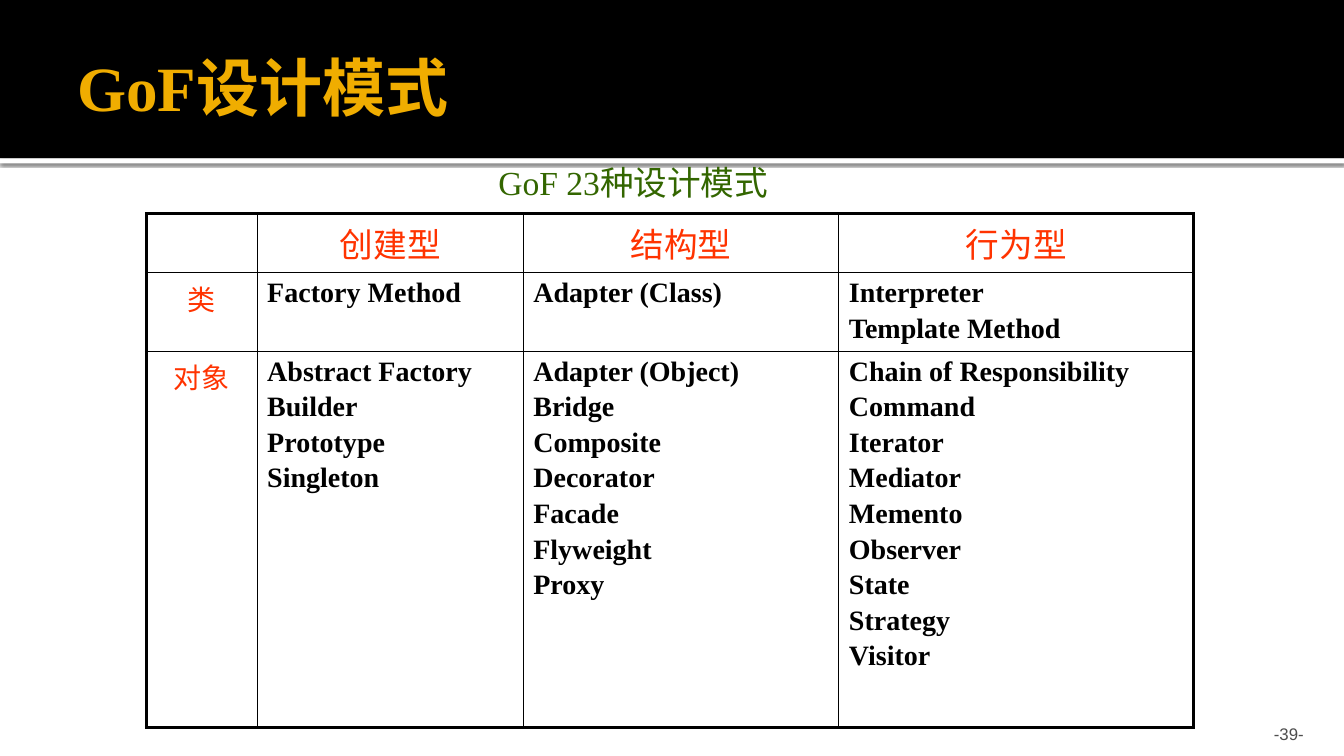
import pptx
import pptx.dml.color
import pptx.enum.shapes
import pptx.enum.text
import pptx.oxml
import pptx.oxml.ns
import pptx.util
from pptx.util import Inches

COLORS = {
    "black": "000000",
    "white": "FFFFFF",
    "gold": "F0AD00",
    "green": "336600",
    "red": "FF3300",
    "grey": "4D4D4D",
}
SERIF = "Times New Roman"
ALIGN = pptx.enum.text.PP_ALIGN
ANCHOR = pptx.enum.text.MSO_ANCHOR
NAMESPACE = pptx.oxml.ns.nsdecls("a")
THICK, THIN = 2.25, 1

CATEGORIES = ["创建型", "结构型", "行为型"]
PATTERNS = {
    "类": [
        ["Factory Method"],
        ["Adapter (Class)"],
        ["Interpreter", "Template Method"],
    ],
    "对象": [
        ["Abstract Factory", "Builder", "Prototype", "Singleton"],
        ["Adapter (Object)", "Bridge", "Composite", "Decorator",
         "Facade", "Flyweight", "Proxy"],
        ["Chain of Responsibility", "Command", "Iterator", "Mediator", "Memento",
         "Observer", "State", "Strategy", "Visitor"],
    ],
}
COLUMN_WIDTHS = [1.1, 2.64, 3.13, 3.52]
ROW_HEIGHTS = [0.57, 0.78, 3.73]


def rgb(name):
    return pptx.dml.color.RGBColor.from_string(COLORS[name])


def write(frame, lines, size=20, color="black", bold=False, font=SERIF,
          align=ALIGN.LEFT, gap=0):
    """Fill a text frame with one paragraph a line, gap points apart."""
    for index, line in enumerate(lines):
        para = frame.paragraphs[0] if index == 0 else frame.add_paragraph()
        para.alignment = align
        if index:
            para.space_before = pptx.util.Pt(gap)
        span = para.add_run()
        span.text = line
        span.font.name = font
        span.font.size = pptx.util.Pt(size)
        span.font.bold = bold
        span.font.color.rgb = rgb(color)


def add_text(page, text, left, top, width, height, anchor=ANCHOR.TOP,
             right_inset=0.1, bottom_inset=0.05, **style):
    box = page.shapes.add_textbox(
        Inches(left), Inches(top), Inches(width), Inches(height))
    frame = box.text_frame
    frame.word_wrap = True
    frame.vertical_anchor = anchor
    frame.margin_right = Inches(right_inset)
    frame.margin_bottom = Inches(bottom_inset)
    write(frame, [text], **style)


def add_band(page, top, height, color):
    band = page.shapes.add_shape(
        pptx.enum.shapes.MSO_SHAPE.RECTANGLE,
        0, Inches(top), Inches(13.33), Inches(height))
    band.shadow.inherit = False
    band.fill.solid()
    band.fill.fore_color.rgb = rgb(color)
    band.line.fill.background()
    return band


def add_shadow(shape):
    effects = shape._element.spPr.find(pptx.oxml.ns.qn("a:effectLst"))
    effects.append(pptx.oxml.parse_xml(
        f'<a:outerShdw {NAMESPACE} blurRad="{pptx.util.Pt(2.5)}" '
        f'dist="{pptx.util.Pt(0.8)}" dir="5400000" algn="tl" rotWithShape="0">'
        f'<a:srgbClr val="{COLORS["black"]}"><a:alpha val="60000"/></a:srgbClr>'
        '</a:outerShdw>'))


def set_borders(cell, outer_sides):
    """Draw thick lines on the outer sides and thin ones on the others."""
    properties = cell._tc.get_or_add_tcPr()
    for side in "LRTB":
        width = pptx.util.Pt(THICK if side in outer_sides else THIN)
        properties.append(pptx.oxml.parse_xml(
            f'<a:ln{side} {NAMESPACE} w="{width}"><a:solidFill>'
            f'<a:srgbClr val="{COLORS["black"]}"/></a:solidFill></a:ln{side}>'))


def add_pattern_table(page):
    rows, columns = len(ROW_HEIGHTS), len(COLUMN_WIDTHS)
    table = page.shapes.add_table(
        rows, columns, Inches(1.45), Inches(2.12),
        Inches(sum(COLUMN_WIDTHS)), Inches(sum(ROW_HEIGHTS))).table
    table.first_row = table.horz_banding = False
    for column, width in zip(table.columns, COLUMN_WIDTHS):
        column.width = Inches(width)
    for row, height in zip(table.rows, ROW_HEIGHTS):
        row.height = Inches(height)

    for r in range(rows):
        for c in range(columns):
            outer = {"L": c == 0, "R": c == columns - 1,
                     "T": r == 0, "B": r == rows - 1}
            cell = table.cell(r, c)
            set_borders(cell, [side for side in outer if outer[side]])
            cell.fill.background()

    heading = {"color": "red", "align": ALIGN.CENTER}
    for c, category in enumerate(CATEGORIES, 1):
        write(table.cell(0, c).text_frame, [category], size=24, **heading)
    for r, (scope, groups) in enumerate(PATTERNS.items(), 1):
        write(table.cell(r, 0).text_frame, [scope], **heading)
        for c, names in enumerate(groups, 1):
            write(table.cell(r, c).text_frame, names, bold=True, gap=3.2)


def main():
    deck = pptx.Presentation()
    deck.slide_width, deck.slide_height = Inches(13.33), Inches(7.5)
    page = deck.slides.add_slide(deck.slide_layouts[6])

    add_shadow(add_band(page, 1.57, 0.05, "white"))
    add_band(page, 0, 1.57, "black")
    add_pattern_table(page)
    add_text(page, "-39-", 11.96, 7.08, 1.07, 0.3, anchor=ANCHOR.BOTTOM,
             bottom_inset=0, size=12, font="Arial", color="grey",
             align=ALIGN.RIGHT)
    add_text(page, "GoF 23种设计模式", 1.91, 1.56, 8.74, 0.5,
             size=24, color="green", align=ALIGN.CENTER)
    add_text(page, "GoF设计模式", 0.67, 0.17, 12, 1.37, anchor=ANCHOR.MIDDLE,
             right_inset=0.05, size=45, color="gold", bold=True)
    deck.save("out.pptx")


if __name__ == "__main__":
    main()
